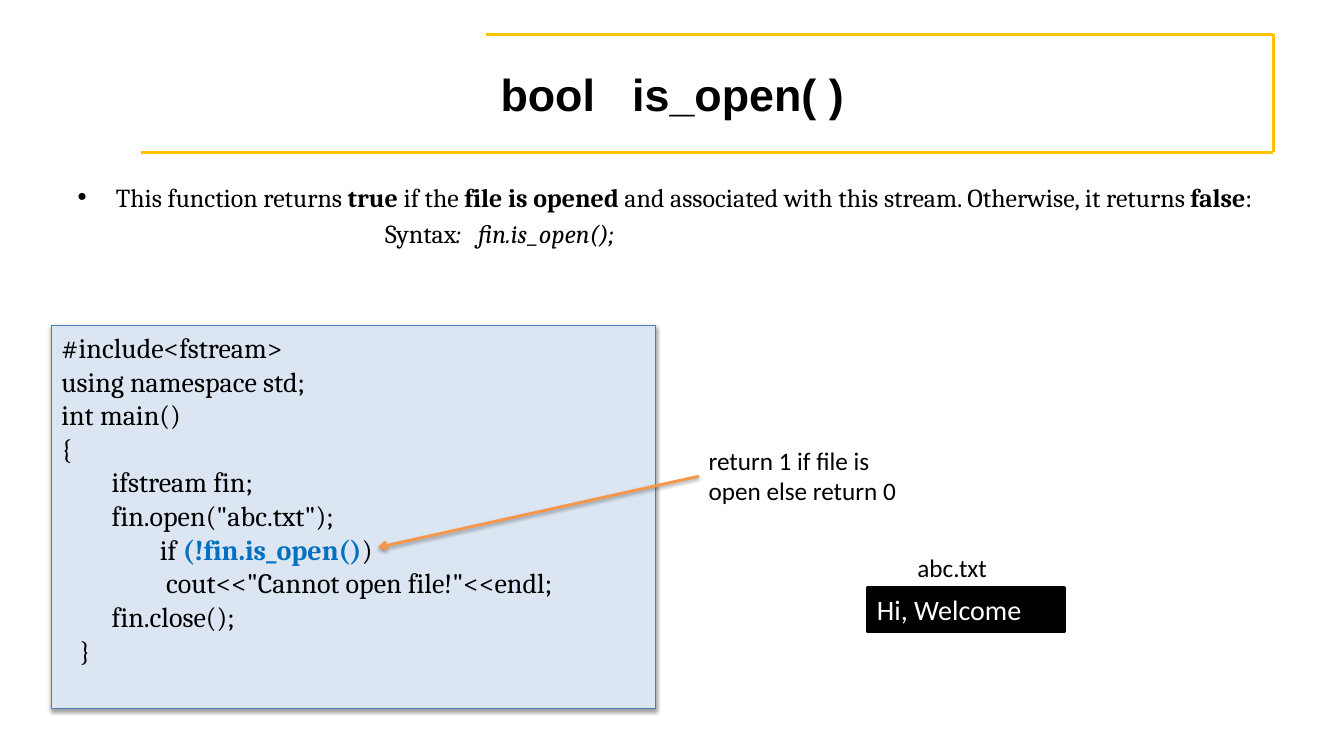
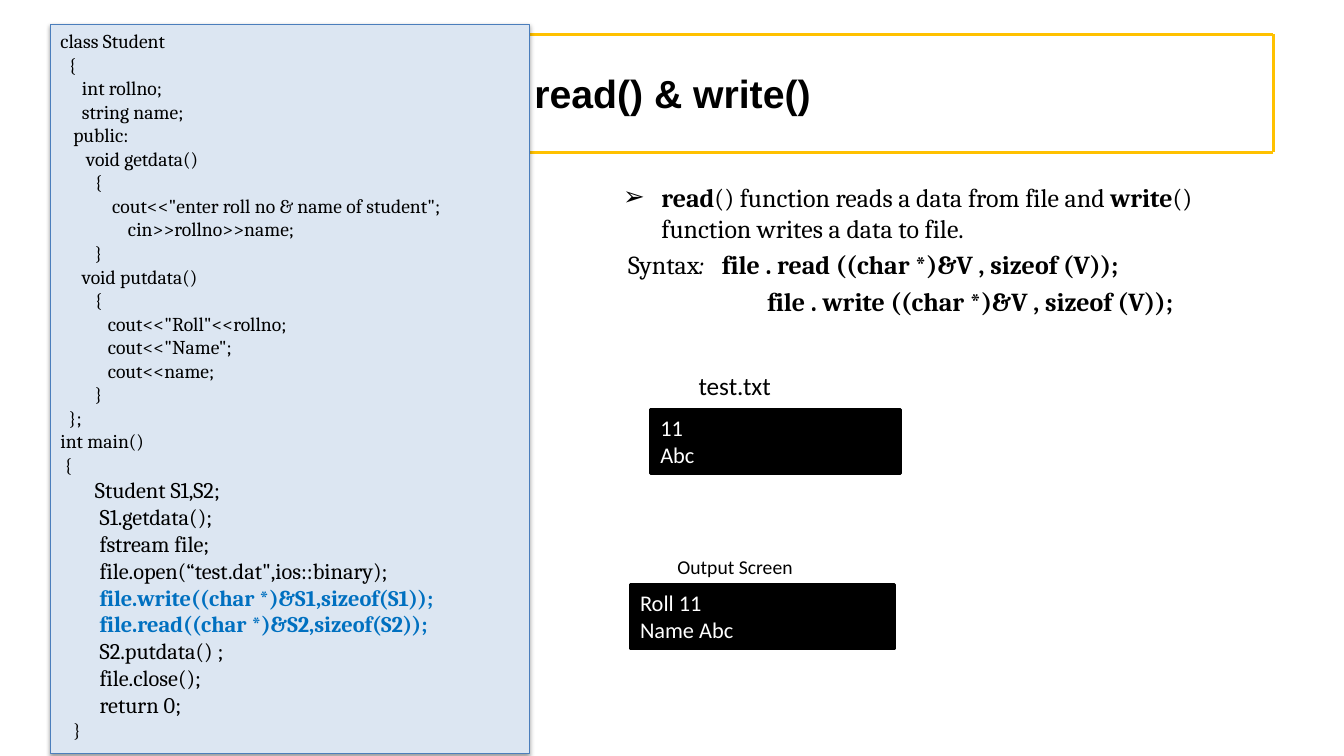
from dataclasses import dataclass, field

from lxml import etree
from pptx import Presentation
from pptx.dml.color import RGBColor
from pptx.enum.shapes import MSO_CONNECTOR, MSO_SHAPE
from pptx.enum.text import MSO_ANCHOR, MSO_AUTO_SIZE, PP_ALIGN
from pptx.oxml.ns import qn
from pptx.util import Emu, Pt

STRAIGHT = MSO_CONNECTOR.STRAIGHT
RECTANGLE = MSO_SHAPE.RECTANGLE
TOP, MIDDLE = MSO_ANCHOR.TOP, MSO_ANCHOR.MIDDLE
LEFT, CENTER = PP_ALIGN.LEFT, PP_ALIGN.CENTER
NO_FIT = MSO_AUTO_SIZE.NONE

EMU_PER_PX = 9144  # 100 px to the inch
COLORS = {
    "ink": "000000",
    "paper": "FFFFFF",
    "frame": "FFC100",
    "code_fill": "DCE6F2",
    "code_line": "4B7EBC",
    "accent": "0070C0",
    "arrow": "F79646",
}
TITLE = {"name": "Arial", "bold": True, "color": "ink"}
BODY = {"name": "Cambria", "size": 18.5, "color": "ink"}
CODE = {"name": "Cambria", "color": "ink"}
LABEL = {"name": "Calibri", "color": "ink"}
SCREEN = {"name": "Calibri", "color": "paper"}
BOLD = {"bold": True}
ITALIC = {"italic": True}
ACCENT = {"bold": True, "color": "accent"}

FRAME_CORNERS = [(482, 34), (1263, 34), (1263, 151), (140, 151)]


@dataclass
class Box:
    left: int
    top: int
    width: int
    height: int


@dataclass
class Span:
    text: str
    style: dict = field(default_factory=dict)


@dataclass
class Para:
    spans: list[Span]
    margin: int = 0
    indent: int = 0
    bullet: str = ""


@dataclass
class Caption:
    box: Box
    text: str
    size: int


@dataclass
class Screen:
    box: Box
    text: str
    size: int


def px(length: int) -> Emu:
    return Emu(length * EMU_PER_PX)


def color(name: str) -> RGBColor:
    return RGBColor.from_string(COLORS[name])


def lines(text: str, **style) -> list[Para]:
    """Make one paragraph of each line of text."""
    return [Para([Span(line, style)]) for line in text.strip("\n").split("\n")]


def place(shape, box: Box) -> None:
    for name in ("left", "top", "width", "height"):
        setattr(shape, name, px(getattr(box, name)))


def format_font(font, style: dict) -> None:
    for name, value in style.items():
        if name == "color":
            font.color.rgb = color(value)
        else:
            setattr(font, name, Pt(value) if name == "size" else value)


def set_indent(paragraph, para: Para) -> None:
    properties = paragraph._p.get_or_add_pPr()
    properties.set("marL", str(px(para.margin)))
    properties.set("indent", str(px(para.indent)))
    if para.bullet:
        etree.SubElement(properties, qn("a:buFont")).set("typeface", "Arial")
        etree.SubElement(properties, qn("a:buChar")).set("char", para.bullet)
    else:
        etree.SubElement(properties, qn("a:buNone"))


def write(shape, paras: list[Para], style: dict, align=LEFT, anchor=TOP) -> None:
    frame = shape.text_frame
    frame.word_wrap = True
    frame.auto_size = NO_FIT
    frame.vertical_anchor = anchor
    for number, para in enumerate(paras):
        paragraph = frame.add_paragraph() if number else frame.paragraphs[0]
        set_indent(paragraph, para)
        paragraph.alignment = align
        if number == 0:
            paragraph.space_before = Pt(0)
        for span in para.spans:
            run = paragraph.add_run()
            run.text = span.text
            format_font(run.font, style | span.style)


def set_effects(shape, shadow: bool = False) -> None:
    """Replace the theme's effects by a soft drop shadow or by none."""
    effects = etree.SubElement(shape.element.spPr, qn("a:effectLst"))
    if shadow:
        outer = etree.SubElement(effects, qn("a:outerShdw"))
        values = {"blurRad": Pt(3.1), "dist": Pt(1.6), "dir": 90 * 60000, "rotWithShape": 0}
        for name, value in values.items():
            outer.set(name, str(value))
        tint = etree.SubElement(outer, qn("a:srgbClr"))
        tint.set("val", COLORS["ink"])
        etree.SubElement(tint, qn("a:alpha")).set("val", "38000")


def add_line(page, start: tuple, end: tuple, tone: str):
    ends = [px(length) for length in (*start, *end)]
    line = page.shapes.add_connector(STRAIGHT, *ends)
    line.line.color.rgb = color(tone)
    line.line.width = Pt(2)
    return line


def add_frame(layout, page) -> None:
    """Draw the title frame and move it to the layout, which all pages share."""
    corners = zip(FRAME_CORNERS, FRAME_CORNERS[1:])
    for number, (start, end) in enumerate(corners, 100):
        line = add_line(page, start, end, "frame")
        set_effects(line)
        line.element.nvCxnSpPr.cNvPr.set("id", str(number))
        layout.shapes.element.append(line.element)


def add_panel(page, box: Box, fill: str, outline: str, width: float, shadow: bool = False):
    panel = page.shapes.add_shape(RECTANGLE, 0, 0, 0, 0)
    place(panel, box)
    panel.fill.solid()
    panel.fill.fore_color.rgb = color(fill)
    panel.line.color.rgb = color(outline)
    panel.line.width = Pt(width)
    set_effects(panel, shadow)
    return panel


def add_code(page, box: Box, paras: list[Para], size: int) -> None:
    panel = add_panel(page, box, "code_fill", "code_line", 0.75, shadow=True)
    write(panel, paras, CODE | {"size": size})


def add_screen(page, screen: Screen) -> None:
    panel = add_panel(page, screen.box, "ink", "ink", 2)
    write(panel, lines(screen.text), SCREEN | {"size": screen.size})


def add_caption(page, caption: Caption):
    label = page.shapes.add_textbox(0, 0, 0, 0)
    place(label, caption.box)
    write(label, lines(caption.text), LABEL | {"size": caption.size})
    return label


def add_arrow(page, label, start: tuple, end: tuple) -> None:
    """Point from the left side of a label to a place in the code."""
    arrow = add_line(page, start, end, "arrow")
    arrow.begin_connect(label, 1)
    etree.SubElement(arrow.line._get_or_add_ln(), qn("a:tailEnd")).set("type", "arrow")
    set_effects(arrow, shadow=True)


def add_page(deck, layout, title: str, size: int, body_box: Box, body: list[Para]):
    page = deck.slides.add_slide(layout)
    write(page.shapes.title, lines(title, size=size), TITLE, CENTER, MIDDLE)
    holder = page.placeholders[1]
    place(holder, body_box)
    write(holder, body, BODY)
    return page


OPEN_BODY = [
    Para([
        Span("This function returns "), Span("true", BOLD), Span(" if the "),
        Span("file is opened", BOLD),
        Span(" and associated with this stream. Otherwise, it returns "),
        Span("false", BOLD), Span(":"),
    ], 38, -38, "•"),
    Para([Span("Syntax"), Span(":\tfin.is_open();", ITALIC)], 397, -92),
]
OPEN_CODE = [
    *lines("""
#include<fstream>
using namespace std;
int main()
{
\tifstream fin;
\tfin.open("abc.txt");
"""),
    Para([Span("                if "), Span("(!fin.is_open()", ACCENT), Span(")")]),
    *lines("""
                 cout<<"Cannot open file!"<<endl;
\tfin.close();
   }
"""),
]
READ_BODY = [
    Para([
        Span("read", BOLD), Span("() function reads a data from file and "),
        Span("write", BOLD), Span("() function writes a data to file."),
    ], 38, -38, "➢"),
    Para([
        Span("Syntax"), Span(":\t", ITALIC),
        Span("file . read ((char *)&V , sizeof (V));", BOLD),
    ], 98, -93),
    Para([Span("file . write ((char *)&V , sizeof (V));", BOLD)], 143),
]
READ_CODE = [
    *lines("""
class Student
  {
     int rollno;
     string name;
   public:
      void getdata()
        {
            cout<<"enter roll no & name of student";
\t    cin>>rollno>>name;
        }
     void putdata()
        {
           cout<<"Roll"<<rollno;
           cout<<"Name";
           cout<<name;
        }
  };
int main()
 {
"""),
    Para([Span("        "), Span("Student S1,S2;", {"size": 16})]),
    *lines("""
        S1.getdata();
        fstream file;
        file.open(“test.dat",ios::binary);
""", size=16),
    *lines("""
        file.write((char *)&S1,sizeof(S1));
        file.read((char *)&S2,sizeof(S2));
""", size=16, **ACCENT),
    *lines("""
        S2.putdata() ;
        file.close();
        return 0;
""", size=16),
    *lines("   }"),
]


def main() -> None:
    deck = Presentation()
    deck.slide_width, deck.slide_height = px(1333), px(750)
    layout = deck.slide_layouts[1]
    place(layout.placeholders[0], Box(67, 30, 1200, 125))

    page = add_page(deck, layout, "bool   is_open( )", 32, Box(67, 175, 1200, 129), OPEN_BODY)
    add_frame(layout, page)
    add_code(page, Box(51, 323, 599, 380), OPEN_CODE, 20)
    add_screen(page, Screen(Box(860, 583, 196, 44), "Hi, Welcome", 20))
    add_caption(page, Caption(Box(900, 543, 117, 40), "abc.txt", 18))
    note = Caption(Box(693, 437, 223, 71), "return 1 if file is open else return 0", 18)
    add_arrow(page, add_caption(page, note), (693, 472), (375, 543))

    page = add_page(deck, layout, "read() & write()", 28, Box(608, 175, 675, 132), READ_BODY)
    add_code(page, Box(50, 24, 475, 724), READ_CODE, 14)
    for screen in (
        Screen(Box(645, 406, 248, 64), "11\nAbc", 16),
        Screen(Box(625, 580, 262, 64), "Roll 11\nName Abc", 16),
    ):
        add_screen(page, screen)
    for caption in (
        Caption(Box(683, 362, 117, 40), "test.txt", 18),
        Caption(Box(662, 546, 150, 34), "Output Screen", 14),
    ):
        add_caption(page, caption)

    deck.save("out.pptx")


if __name__ == "__main__":
    main()
